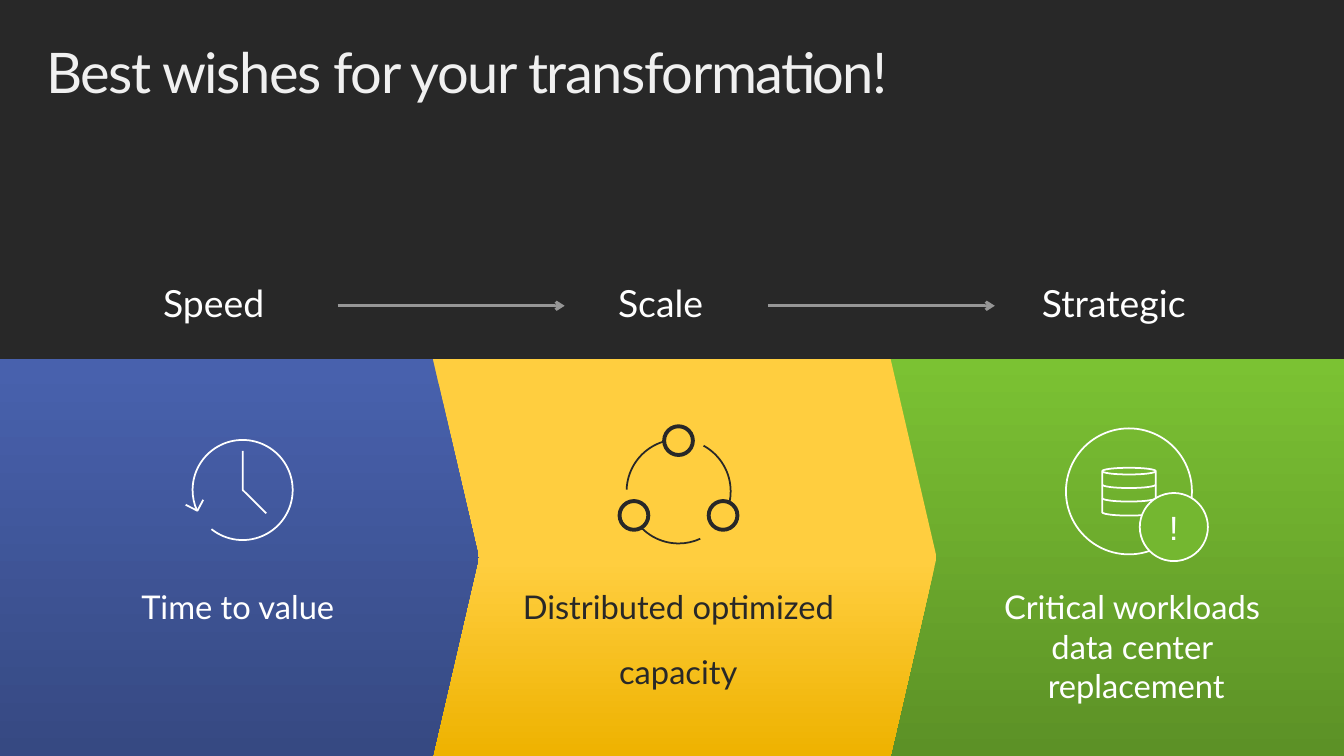
from lxml.etree import SubElement
from pptx import Presentation
from pptx.dml.color import RGBColor
from pptx.enum.shapes import MSO_CONNECTOR as Connector, MSO_SHAPE as Preset
from pptx.enum.text import MSO_ANCHOR as Anchor, MSO_AUTO_SIZE as AutoSize, PP_ALIGN as Align
from pptx.oxml.ns import qn
from pptx.util import Pt

COLORS = {
    "dark": "282828",
    "title": "F0F0F0",
    "white": "FFFFFF",
    "arrow": "969696",
    "badge": "74B730",
    "blue_top": "4861AD",
    "blue_end": "364982",
    "yellow_top": "FFCE3F",
    "yellow_end": "EEB200",
    "green_top": "7BC233",
    "green_end": "5C9126",
}
PANEL_TOP, PANEL_HEIGHT = 307.4, 340.6
ARROW_Y, ARROW_LENGTH = 262.1, 194.6
ICON_LINE = 1.5


def rgb(name):
    return RGBColor.from_string(COLORS[name])


def add_run(para, text, size, color, font="Lato"):
    run = para.add_run()
    run.text = text
    run.font.name = font
    run.font.size = Pt(size)
    run.font.color.rgb = rgb(color)
    return run


def set_insets(frame, side, top):
    frame.margin_left = frame.margin_right = Pt(side)
    frame.margin_top = frame.margin_bottom = Pt(top)


def add_title(page, text):
    title = page.shapes.title
    title.left, title.top = Pt(25.2), Pt(27.4)
    title.width, title.height = Pt(1100.9), Pt(85)
    frame = title.text_frame
    frame.auto_size = AutoSize.NONE
    frame.vertical_anchor = Anchor.TOP
    set_insets(frame, 14.4, 11.5)
    para = frame.paragraphs[0]
    para.alignment = Align.LEFT
    para.line_spacing = 0.9
    run = add_run(para, text, 48, "title")
    run.font._element.set("spc", "-120")


def add_label(page, bounds, lines, size, color, spacing=1.0):
    box = page.shapes.add_textbox(*map(Pt, bounds))
    frame = box.text_frame
    frame.word_wrap = True
    para = frame.paragraphs[0]
    para.alignment = Align.CENTER
    para.line_spacing = spacing
    for index, line in enumerate(lines):
        if index:
            para.add_line_break()
        add_run(para, line, size, color)


def add_panel(page, preset, left, width, top_color, end_color, start):
    panel = page.shapes.add_shape(
        preset, Pt(left), Pt(PANEL_TOP), Pt(width), Pt(PANEL_HEIGHT))
    panel.shadow.inherit = False
    panel.line.fill.background()
    if preset == Preset.PENTAGON:
        panel.adjustments[0] = 0.116
    panel.fill.gradient()
    panel.fill.gradient_angle = 270
    first, last = panel.fill.gradient_stops
    first.position, last.position = start, 1.0
    first.color.rgb, last.color.rgb = rgb(top_color), rgb(end_color)


def add_arrow(page, left):
    arrow = page.shapes.add_connector(
        Connector.STRAIGHT, Pt(left), Pt(ARROW_Y), Pt(left + ARROW_LENGTH), Pt(ARROW_Y))
    arrow.line.color.rgb = rgb("arrow")
    arrow.line.width = Pt(2.5)
    SubElement(arrow.line._get_or_add_ln(), qn("a:tailEnd"), type="arrow")
    SubElement(arrow._element.spPr, qn("a:effectLst"))


def outline(shape, color):
    shape.shadow.inherit = False
    shape.fill.background()
    shape.line.color.rgb = rgb(color)
    shape.line.width = Pt(ICON_LINE)


def add_centered(icon, preset, center, radius_x, radius_y, color):
    x, y = center
    shape = icon.shapes.add_shape(
        preset, Pt(x - radius_x), Pt(y - radius_y), Pt(2 * radius_x), Pt(2 * radius_y))
    outline(shape, color)
    return shape


def add_arc(icon, center, radius_x, radius_y, start, end, color):
    arc = add_centered(icon, Preset.ARC, center, radius_x, radius_y, color)
    for index, degrees in enumerate((start, end)):
        arc.adjustments[index] = degrees * 0.6


def add_polyline(icon, points, color):
    corners = [(Pt(x), Pt(y)) for x, y in points]
    builder = icon.shapes.build_freeform(*corners[0], scale=1.0)
    builder.add_line_segments(corners[1:], close=False)
    outline(builder.convert_to_shape(), color)


def add_clock_icon(page):
    icon = page.shapes.add_group_shape()
    add_arc(icon, (208, 420), 42.9, 42.9, 156, 128.5, "white")
    add_polyline(icon, [(208, 386.6), (208, 420), (228.2, 440)], "white")
    add_polyline(icon, [(174.2, 428.4), (169.2, 437.8), (159.1, 432.7)], "white")


def add_network_icon(page):
    icon = page.shapes.add_group_shape()
    for x, y in ((543.4, 441.8), (581.6, 377.7), (619.8, 441.8)):
        ring = add_centered(icon, Preset.DONUT, (x, y), 14, 14, "dark")
        ring.adjustments[0] = 0.12
        ring.fill.solid()
        ring.fill.fore_color.rgb = rgb("dark")
        ring.line.fill.background()
    for start, end in ((65.5, 135), (298.6, 12), (182, 254)):
        add_arc(icon, (581.7, 421.2), 44.6, 44.6, start, end, "dark")


def add_database_icon(page):
    icon = page.shapes.add_group_shape()
    x = 967.7
    cylinder = add_centered(icon, Preset.CAN, (x, 421.5), 23, 20.5, "white")
    cylinder.adjustments[0] = 0.14
    for y in (415.4, 427):
        add_arc(icon, (x, y), 23, 2.9, 0, 180, "white")
    add_centered(icon, Preset.OVAL, (x, 421.2), 54, 54, "white")
    badge = add_centered(icon, Preset.OVAL, (1006.2, 451.8), 29.2, 29.2, "white")
    badge.fill.solid()
    badge.fill.fore_color.rgb = rgb("badge")
    frame = badge.text_frame
    frame.vertical_anchor = Anchor.MIDDLE
    set_insets(frame, 11.5, 5.8)
    para = frame.paragraphs[0]
    para.alignment = Align.CENTER
    add_run(para, "!", 28.8, "white", "Arial")


def main():
    deck = Presentation()
    deck.slide_width, deck.slide_height = Pt(1152), Pt(648)
    page = deck.slides.add_slide(deck.slide_layouts[5])
    page.background.fill.solid()
    page.background.fill.fore_color.rgb = rgb("dark")
    add_title(page, "Best wishes for your transformation!")

    for left, width, text in (
        (5, 356.4, "Speed"), (376.6, 379.4, "Scale"), (757.4, 394.6, "Strategic"),
    ):
        add_label(page, (left, 241.2, width, 58.3), [text], 32, "white", 0.9)
    for left in (289.4, 658.1):
        add_arrow(page, left)

    add_panel(page, Preset.RECTANGLE, 755.3, 396.7, "green_top", "green_end", 0.0)
    add_panel(page, Preset.PENTAGON, 343.4, 459.4, "yellow_top", "yellow_end", 0.51)
    add_panel(page, Preset.PENTAGON, 0, 410.4, "blue_top", "blue_end", 0.02)

    add_clock_icon(page)
    add_network_icon(page)
    add_database_icon(page)

    for left, width, lines, color in (
        (106.6, 194.4, ["Time to value"], "white"),
        (439.9, 283, ["Distributed optimized ", "capacity"], "dark"),
        (805, 337.7, ["Critical workloads ", "data center ", "replacement"], "white"),
    ):
        add_label(page, (left, 499.7, width, 128.9), lines, 28, color)

    deck.save("out.pptx")


if __name__ == "__main__":
    main()
